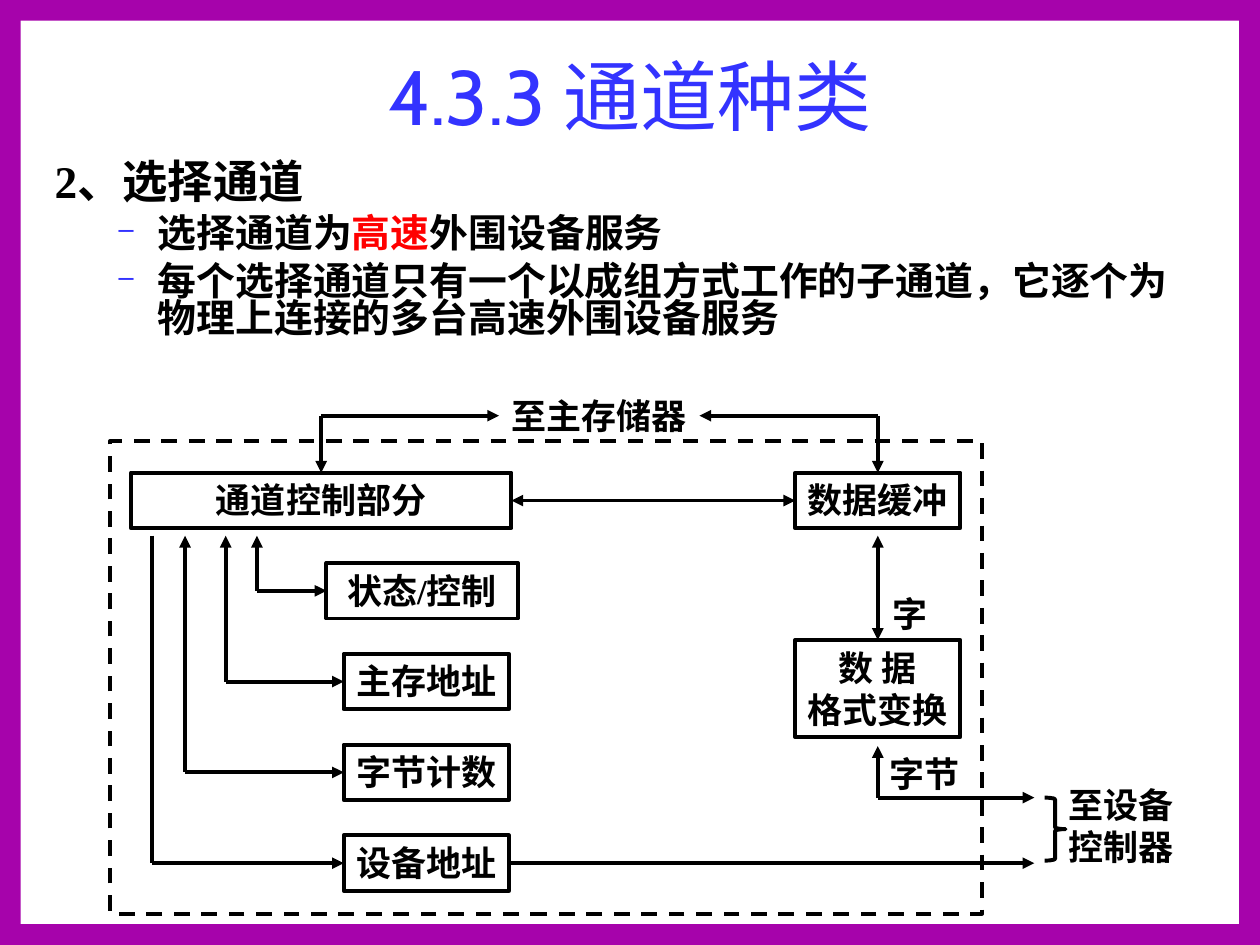
from dataclasses import dataclass
from typing import NamedTuple, Optional

from lxml import etree
from pptx import Presentation
from pptx.dml.color import RGBColor
from pptx.enum.dml import MSO_LINE
from pptx.enum.shapes import MSO_CONNECTOR, MSO_SHAPE
from pptx.enum.text import MSO_ANCHOR, PP_ALIGN
from pptx.oxml.ns import qn
from pptx.util import Cm, Pt

RECT, BRACE = MSO_SHAPE.RECTANGLE, MSO_SHAPE.RIGHT_BRACE
STRAIGHT, DASH = MSO_CONNECTOR.STRAIGHT, MSO_LINE.DASH
CENTER, TOP, BOTTOM = PP_ALIGN.CENTER, MSO_ANCHOR.TOP, MSO_ANCHOR.BOTTOM
SIDE_TOP, SIDE_LEFT, SIDE_RIGHT = 0, 1, 3


@dataclass(frozen=True)
class Theme:
    border: RGBColor = RGBColor(0xA6, 0x03, 0xAB)
    accent: RGBColor = RGBColor(0x33, 0x33, 0xFF)
    ink: RGBColor = RGBColor(0, 0, 0)
    emphasis: RGBColor = RGBColor(0xFF, 0, 0)
    title_font: str = "Cabin"
    text_font: str = "Times New Roman"
    title_size: Pt = Pt(44)
    heading_size: Pt = Pt(25.9)
    point_size: Pt = Pt(22.2)
    diagram_size: Pt = Pt(20)
    stroke: Pt = Pt(2.25)


THEME = Theme()


class Block(NamedTuple):
    """Text with its place in centimetres."""
    text: str
    left: float
    top: float
    width: float
    height: float = 1.12


class End(NamedTuple):
    """Line end in EMU, optionally glued to one side of a box."""
    x: int
    y: int
    shape: Optional[object] = None
    side: int = 0


def place(block: Block) -> list:
    return [Cm(value) for value in block[1:]]


def side(shape, number: int) -> End:
    x = shape.left + (0, 0, 0, shape.width)[number]
    y = shape.top + shape.height // 2
    if number == SIDE_TOP:
        x, y = shape.left + shape.width // 2, shape.top
    return End(x, y, shape, number)


def style_run(run, size: Pt, color: RGBColor, font: str = THEME.text_font, bold: bool = True) -> None:
    run.font.size, run.font.name, run.font.bold = size, font, bold
    run.font.color.rgb = color


def outline(shape, dash=None) -> None:
    shape.shadow.inherit = False
    shape.fill.background()
    shape.line.color.rgb = THEME.ink
    shape.line.width = THEME.stroke
    if dash is not None:
        shape.line.dash_style = dash


def write_label(shape, text: str) -> None:
    frame = shape.text_frame
    frame.text = text
    frame.word_wrap = False
    frame.vertical_anchor = TOP
    for paragraph in frame.paragraphs:
        paragraph.alignment = CENTER
        for run in paragraph.runs:
            style_run(run, THEME.diagram_size, THEME.ink)


def add_label(slide, block: Block):
    label = slide.shapes.add_textbox(*place(block))
    write_label(label, block.text)
    return label


def add_box(slide, block: Block):
    box = slide.shapes.add_shape(RECT, *place(block))
    outline(box)
    write_label(box, block.text)
    return box


def add_line(slide, start: End, finish: End, head: bool = False, tail: bool = False) -> None:
    line = slide.shapes.add_connector(STRAIGHT, start.x, start.y, finish.x, finish.y)
    if start.shape is not None:
        line.begin_connect(start.shape, start.side)
    if finish.shape is not None:
        line.end_connect(finish.shape, finish.side)
    line.line.color.rgb = THEME.ink
    line.line.width = THEME.stroke
    properties = line.element.spPr
    stroke = properties.find(qn("a:ln"))
    for tag, wanted in (("a:headEnd", head), ("a:tailEnd", tail)):
        if wanted:
            etree.SubElement(stroke, qn(tag), type="triangle")
    etree.SubElement(properties, qn("a:effectLst"))


def add_border(slide, width: float = 25.4, height: float = 19.05, band: float = 0.42) -> None:
    for bounds in ((0, 0, width, band), (0, height - band, width, band),
                   (0, 0, band, height), (width - band, 0, band, height)):
        bar = slide.shapes.add_shape(RECT, *(Cm(value) for value in bounds))
        bar.shadow.inherit = False
        bar.fill.solid()
        bar.fill.fore_color.rgb = THEME.border
        bar.line.fill.background()


def add_title(slide, block: Block) -> None:
    frame = slide.shapes.add_textbox(*place(block)).text_frame
    frame.text = block.text
    frame.word_wrap = True
    frame.vertical_anchor = BOTTOM
    frame.paragraphs[0].alignment = CENTER
    style_run(frame.paragraphs[0].runs[0], THEME.title_size, THEME.accent, THEME.title_font, False)


def indent(paragraph, margin: float, hanging: float) -> None:
    properties = paragraph._p.get_or_add_pPr()
    properties.set("marL", str(Cm(margin)))
    properties.set("indent", str(-Cm(hanging)))


def add_dash_bullet(paragraph) -> None:
    properties = paragraph._p.get_or_add_pPr()
    color = etree.SubElement(properties, qn("a:buClr"))
    etree.SubElement(color, qn("a:srgbClr"), val=str(THEME.accent))
    etree.SubElement(properties, qn("a:buSzPct"), val="70000")
    etree.SubElement(properties, qn("a:buChar"), char="–")


def add_body(slide, heading: Block, points: list) -> None:
    """Each point is a list of (text, colour) parts."""
    frame = slide.shapes.add_textbox(*place(heading)).text_frame
    frame.text = heading.text
    frame.word_wrap = True
    first = frame.paragraphs[0]
    first.line_spacing = 0.8
    indent(first, 0.97, 0.97)
    style_run(first.runs[0], THEME.heading_size, THEME.ink)
    for parts in points:
        paragraph = frame.add_paragraph()
        paragraph.level = 1
        indent(paragraph, 2.08, 0.79)
        add_dash_bullet(paragraph)
        paragraph.line_spacing = 0.8
        paragraph.space_before = Pt(6)
        for text, color in parts:
            run = paragraph.add_run()
            run.text = text
            style_run(run, THEME.point_size, color)


def add_diagram(slide) -> None:
    memory = add_label(slide, Block("至主存储器", 10.06, 7.82, 4.04))
    control = add_box(slide, Block("通道控制部分", 2.64, 9.53, 7.67))
    buffer = add_box(slide, Block("数据缓冲", 16.03, 9.53, 3.33))
    converter = add_box(slide, Block("数 据\n格式变换", 16.03, 12.9, 3.33, 1.96))
    for note in (Block("字", 17.68, 11.81, 1.32), Block("字节", 17.43, 15.04, 2.4),
                 Block("至设备\n控制器", 21.2, 15.67, 2.8, 1.96)):
        add_label(slide, note)

    status_top, pitch, below_control = 11.35, 1.83, Cm(10.8)
    registers = [("状态/控制", 6.58, 3.86, 5.18), ("主存地址", 6.93, 3.33, 4.55),
                 ("字节计数", 6.93, 3.33, 3.73), ("设备地址", 6.93, 3.33, 3.07)]
    for row, (name, left, width, spine) in enumerate(registers):
        register = add_box(slide, Block(name, left, status_top + row * pitch, width))
        entry = side(register, SIDE_LEFT)
        corner = End(Cm(spine), entry.y)
        add_line(slide, End(Cm(spine), below_control), corner, head=name != "设备地址")
        add_line(slide, corner, entry, tail=True)
    device_exit = side(register, SIDE_RIGHT)

    for unit, memory_side in ((control, SIDE_LEFT), (buffer, SIDE_RIGHT)):
        entry, label_end = side(unit, SIDE_TOP), side(memory, memory_side)
        corner = End(entry.x, label_end.y)
        add_line(slide, entry, corner, head=True)
        add_line(slide, label_end, corner, head=True)

    add_line(slide, side(control, SIDE_RIGHT), side(buffer, SIDE_LEFT), head=True, tail=True)
    word_end = side(converter, SIDE_TOP)
    add_line(slide, End(word_end.x, below_control), word_end, head=True, tail=True)
    device_x, byte_corner = Cm(20.85), End(word_end.x, Cm(16.08))
    add_line(slide, End(word_end.x, Cm(15.04)), byte_corner, head=True)
    add_line(slide, byte_corner, End(device_x, byte_corner.y), tail=True)
    add_line(slide, device_exit, End(device_x, device_exit.y), tail=True)

    outline(slide.shapes.add_shape(BRACE, Cm(21.06), Cm(16.08), Cm(0.42), Cm(1.27)))
    outline(slide.shapes.add_shape(RECT, Cm(2.22), Cm(8.89), Cm(17.58), Cm(9.53)), DASH)


def main() -> None:
    deck = Presentation()
    deck.slide_width, deck.slide_height = Cm(25.4), Cm(19.05)
    slide = deck.slides.add_slide(deck.slide_layouts[6])
    add_border(slide)
    add_title(slide, Block("4.3.3 通道种类", 1.27, 0.85, 22.86, 2.12))
    add_body(slide, Block("2、选择通道", 0.85, 3.18, 23.65, 4.02), [
        [("选择通道为", THEME.ink), ("高速", THEME.emphasis), ("外围设备服务", THEME.ink)],
        [("每个选择通道只有一个以成组方式工作的子通道，它逐个为物理上连接的多台高速外围设备服务", THEME.ink)],
    ])
    add_diagram(slide)
    deck.save("out.pptx")


if __name__ == "__main__":
    main()
